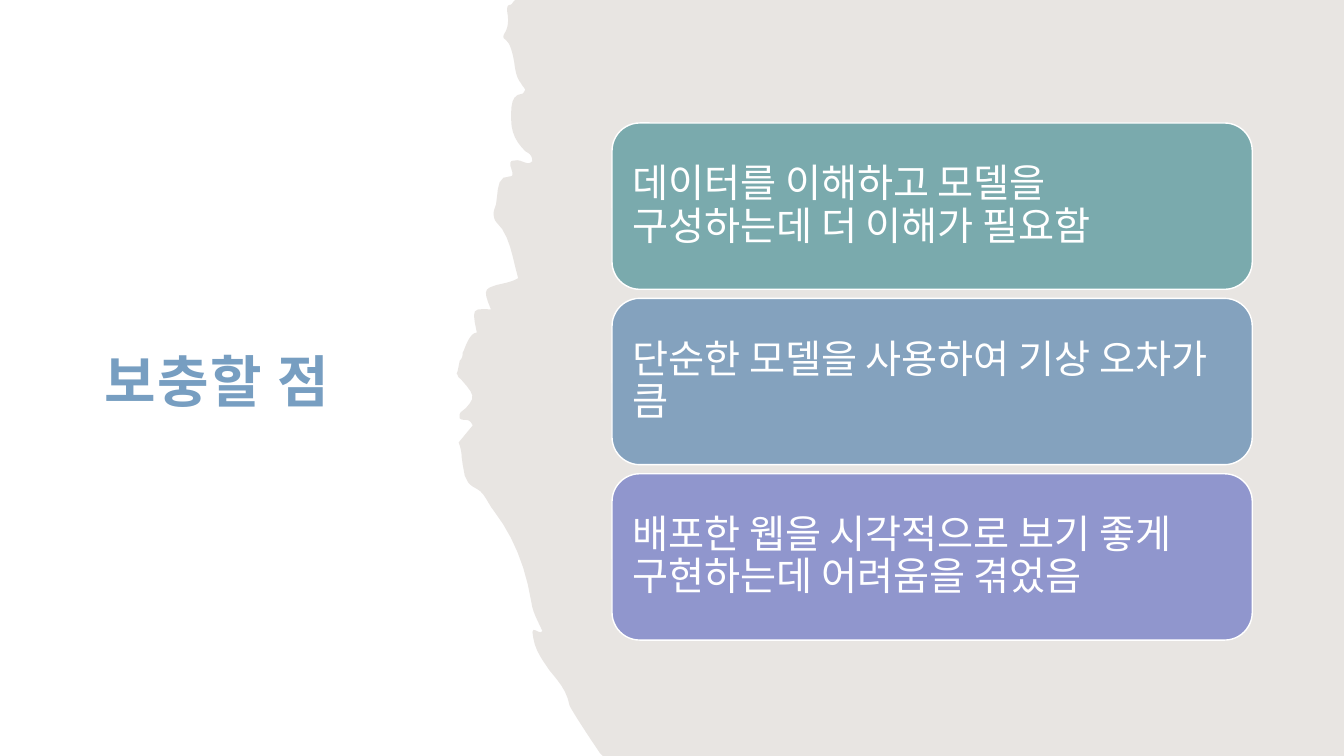
from dataclasses import dataclass

from lxml import etree
from pptx import Presentation
from pptx import util as u
from pptx.dml.color import RGBColor
from pptx.enum import shapes, text
from pptx.oxml import ns

COLOURS = {
    "white": "FFFFFF",
    "sand": "E8E5E2",
    "title": "779EC1",
    "teal": "7AAAAD",
    "blue": "84A2BE",
    "violet": "9096CD",
}
FONT = "Noto Sans CJK KR"
WIDTH, HEIGHT = 13.33, 7.5
CARD_LEFT, CARD_TOP, CARD_WIDTH, CARD_HEIGHT = 6.07, 1.22, 6.35, 1.65
CARD_PITCH = 1.74
CURVE_STEPS = 6

TORN_EDGE = (
    (5.98, 7.5), (5.95, 7.47),
    (5.76, 7.19, 5.65, 7.01, 5.65, 7), (5.62, 6.84, 5.53, 6.75, 5.45, 6.65),
    (5.39, 6.56, 5.31, 6.46, 5.29, 6.33), (5.25, 6.16, 5.36, 6.32, 5.38, 6.26),
    (5.34, 6.17, 5.28, 6.07, 5.27, 5.97), (5.21, 5.61, 5.09, 5.32, 4.9, 5.07),
    (4.84, 5, 4.81, 4.89, 4.73, 4.85), (4.69, 4.83, 4.66, 4.81, 4.64, 4.78),
    (4.61, 4.72), (4.59, 4.61), (4.58, 4.54),
    (4.58, 4.5, 4.57, 4.45, 4.56, 4.42), (4.55, 4.39), (4.69, 4.22),
    (4.65, 4.13, 4.6, 4.19, 4.56, 4.15), (4.56, 4.11), (4.57, 4.09), (4.62, 4.05),
    (4.72, 3.94, 4.71, 3.92, 4.57, 3.76), (4.55, 3.75, 4.54, 3.73, 4.54, 3.72),
    (4.53, 3.71), (4.54, 3.68), (4.56, 3.58),
    (4.58, 3.56, 4.59, 3.54, 4.59, 3.5), (4.6, 3.48),
    (4.64, 3.37, 4.68, 3.3, 4.73, 3.3), (4.68, 3.06, 4.68, 3.06, 4.87, 3.07),
    (4.8, 2.9, 4.8, 2.87, 4.89, 2.84), (4.97, 2.81, 5.06, 2.81, 5.14, 2.76),
    (5.08, 2.55, 5.06, 2.33, 4.92, 2.2), (4.9, 2.18, 4.89, 2.12, 4.9, 2.09),
    (4.96, 1.98, 4.89, 1.74, 5.06, 1.75), (5.08, 1.75, 5.09, 1.74, 5.08, 1.7),
    (5.03, 1.57, 5.09, 1.6, 5.13, 1.59), (5.18, 1.59, 5.24, 1.65, 5.28, 1.6),
    (5.28, 1.53, 5.24, 1.52, 5.21, 1.5), (5.13, 1.42, 5.07, 1.33, 5.07, 1.18),
    (5.07, 1.05, 5.07, 0.94, 5.18, 0.93), (5.19, 0.93, 5.2, 0.91, 5.21, 0.89),
    (5.2, 0.87, 5.18, 0.85, 5.17, 0.83), (5.12, 0.77, 5.11, 0.69, 5.1, 0.61),
    (5.09, 0.56, 5.08, 0.51, 5.06, 0.46), (5.05, 0.43, 5.03, 0.41, 5.01, 0.39),
    (4.99, 0.38, 4.99, 0.36, 5, 0.34), (5.04, 0.28, 5.05, 0.21, 5.03, 0.11),
    (5.03, 0.08, 5.03, 0.06, 5.05, 0.05), (5.07, 0.05, 5.08, 0.04, 5.09, 0.02),
)


@dataclass(frozen=True)
class Card:
    """A rounded card with its wording and fill colour."""

    wording: str
    colour: str


CARDS = (
    Card("데이터를 이해하고 모델을 구성하는데 더 이해가 필요함", "teal"),
    Card("단순한 모델을 사용하여 기상 오차가 큼", "blue"),
    Card("배포한 웹을 시각적으로 보기 좋게 구현하는데 어려움을 겪었음", "violet"),
)


def rgb(name: str) -> RGBColor:
    """Return the named palette colour."""
    return RGBColor.from_string(COLOURS[name])


def write_text(box, wording: str, *, size: int, colour: str, bold: bool = False,
               line_spacing: float = 1.0, after: float = 0, tracking: int = 0) -> None:
    """Write one formatted, left-aligned paragraph in the middle of a shape."""
    frame = box.text_frame
    frame.word_wrap = True
    frame.auto_size = text.MSO_AUTO_SIZE.NONE
    frame.vertical_anchor = text.MSO_ANCHOR.MIDDLE
    frame.margin_left = frame.margin_right = u.Inches(0.12)
    frame.margin_top = frame.margin_bottom = u.Inches(0.12)
    para = frame.paragraphs[0]
    para.alignment = text.PP_ALIGN.LEFT
    para.line_spacing = line_spacing
    para.space_before = u.Pt(0)
    para.space_after = u.Pt(after)
    span = para.add_run()
    span.text = wording
    span.font.size = u.Pt(size)
    span.font.bold = bold
    span.font.name = FONT
    span.font.color.rgb = rgb(colour)
    properties = span.font._element
    etree.SubElement(properties, ns.qn("a:ea")).set("typeface", FONT)
    if tracking:
        properties.set("spc", str(tracking))


def trace_edge(segments: tuple) -> list[tuple[float, float]]:
    """Turn line ends and cubic curves into a list of points."""
    points = [segments[0]]
    for segment in segments[1:]:
        if len(segment) == 2:
            points.append(segment)
            continue
        start = points[-1]
        first, second, end = segment[:2], segment[2:4], segment[4:]
        for step in range(1, CURVE_STEPS + 1):
            t = step / CURVE_STEPS
            s = 1 - t
            points.append(tuple(
                s**3 * a + 3 * s * s * t * b + 3 * s * t * t * c + t**3 * d
                for a, b, c, d in zip(start, first, second, end)
            ))
    return points


def add_torn_panel(page) -> None:
    """Draw the right-hand panel with its torn left edge."""
    outline = [(5.11, 0), (WIDTH, 0), (WIDTH, HEIGHT), *trace_edge(TORN_EDGE)]
    corners = [(u.Inches(x), u.Inches(y)) for x, y in outline]
    builder = page.shapes.build_freeform(*corners[0])
    builder.add_line_segments(corners[1:], close=True)
    panel = builder.convert_to_shape()
    panel.shadow.inherit = False
    panel.fill.solid()
    panel.fill.fore_color.rgb = rgb("sand")
    panel.line.fill.background()


def add_card(page, card: Card, top: float) -> None:
    """Draw one rounded card at the given height."""
    box = page.shapes.add_shape(
        shapes.MSO_SHAPE.ROUNDED_RECTANGLE, u.Inches(CARD_LEFT), u.Inches(top),
        u.Inches(CARD_WIDTH), u.Inches(CARD_HEIGHT),
    )
    box.shadow.inherit = False
    box.fill.solid()
    box.fill.fore_color.rgb = rgb(card.colour)
    box.line.color.rgb = rgb("white")
    box.line.width = u.Pt(1)
    write_text(box, card.wording, size=28, colour="white", line_spacing=0.9, after=10)


def main() -> None:
    """Build the slide and save it."""
    deck = Presentation()
    deck.slide_width, deck.slide_height = u.Inches(WIDTH), u.Inches(HEIGHT)
    page = deck.slides.add_slide(deck.slide_layouts[5])
    page.background.fill.solid()
    page.background.fill.fore_color.rgb = rgb("white")

    title = page.shapes.title
    title.left, title.top = u.Inches(0.92), u.Inches(0.78)
    title.width, title.height = u.Inches(3.5), u.Inches(5.94)
    write_text(title, "보충할 점", size=40, colour="title", bold=True,
               line_spacing=1.05, tracking=100)

    add_torn_panel(page)
    for index, card in enumerate(CARDS):
        add_card(page, card, CARD_TOP + index * CARD_PITCH)
    deck.save("out.pptx")


if __name__ == "__main__":
    main()
